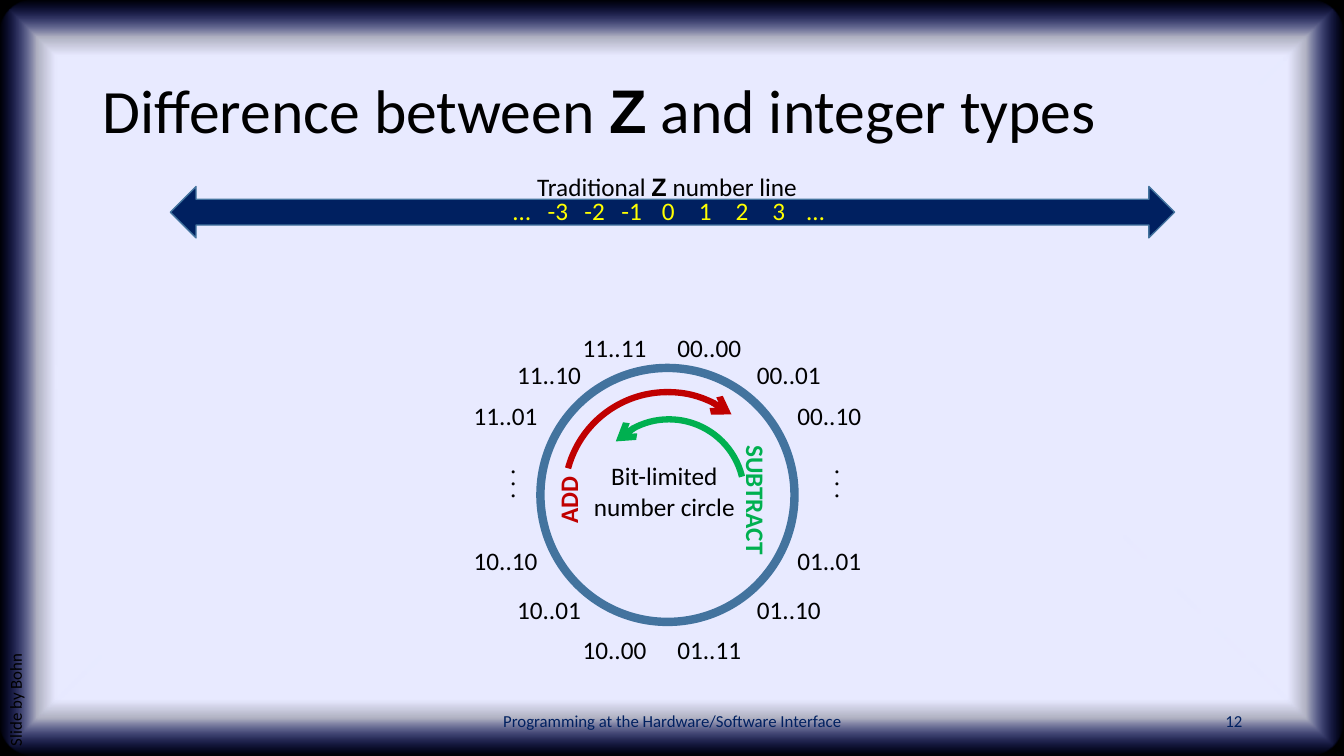
"""Build a slide contrasting the integer number line with the bit-limited number circle."""
import dataclasses

import lxml.etree
import pptx
import pptx.dml.color
import pptx.enum.shapes
import pptx.enum.text
import pptx.oxml.ns
import pptx.util

Inches = pptx.util.Inches
Pt = pptx.util.Pt
Align = pptx.enum.text.PP_ALIGN
Anchor = pptx.enum.text.MSO_ANCHOR
AutoSize = pptx.enum.text.MSO_AUTO_SIZE
Shape = pptx.enum.shapes.MSO_SHAPE


@dataclasses.dataclass(frozen=True)
class Theme:
    body_font: str = "Calibri"
    symbol_font: str = "Arial"
    title_size: int = 44
    label_size: int = 18
    footer_size: int = 12
    black: str = "000000"
    navy: str = "002060"
    steel: str = "43739E"
    yellow: str = "FFFF00"
    red: str = "C00000"
    green: str = "00B050"
    glow_stops: tuple = ((85, "E8EAFF", 100), (90, "E8EAFF", 75), (100, "162AFF", 0))


def color(value):
    return pptx.dml.color.RGBColor.from_string(value)


def add_element(parent, tag, **attributes):
    return lxml.etree.SubElement(parent, pptx.oxml.ns.qn(tag), attributes)


class SlideBuilder:
    def __init__(self, presentation, theme):
        self.theme = theme
        self.slide = presentation.slides.add_slide(presentation.slide_layouts[5])
        self.shapes = self.slide.shapes

    def start_group(self):
        self.shapes = self.slide.shapes.add_group_shape().shapes

    def end_group(self):
        self.shapes = self.slide.shapes

    def style(self, paragraph, size, value, bold=False):
        paragraph.font.name = self.theme.body_font
        paragraph.font.size = Pt(size)
        paragraph.font.bold = bold
        paragraph.font.color.rgb = color(value)

    def write_around_symbol(self, paragraph, before, symbol, after):
        for text in (before, symbol, after):
            run = paragraph.add_run()
            run.text = text
            if text == symbol:
                run.font.name = self.theme.symbol_font
                run.font.bold = True

    def backdrop(self, width, height):
        background = self.slide.background.fill
        background.solid()
        background.fore_color.rgb = color(self.theme.black)
        panel = self.shape(Shape.ROUNDED_RECTANGLE, (0, 0, width, height), adjustments=(0.048,))
        properties = panel._element.spPr
        gradient = lxml.etree.Element(pptx.oxml.ns.qn("a:gradFill"), rotWithShape="1")
        properties.replace(properties.find(pptx.oxml.ns.qn("a:noFill")), gradient)
        stops = add_element(gradient, "a:gsLst")
        for position, value, opacity in self.theme.glow_stops:
            stop = add_element(stops, "a:gs", pos=str(position * 1000))
            stop_color = add_element(stop, "a:srgbClr", val=value)
            add_element(stop_color, "a:alpha", val=str(opacity * 1000))
        shading = add_element(gradient, "a:path", path="shape")
        add_element(shading, "a:fillToRect", l="50000", t="50000", r="50000", b="50000")

    def title(self, box, before, symbol, after):
        title = self.slide.shapes.title
        title.left, title.top, title.width, title.height = map(Inches, box)
        self.slide.shapes._spTree.append(title._element)
        frame = title.text_frame
        frame.auto_size = AutoSize.NONE
        frame.vertical_anchor = Anchor.MIDDLE
        paragraph = frame.paragraphs[0]
        paragraph.alignment = Align.LEFT
        paragraph.line_spacing = 0.9
        self.style(paragraph, self.theme.title_size, self.theme.black)
        self.write_around_symbol(paragraph, before, symbol, after)

    def text(self, box, lines=(), size=None, value=None, align=Align.LEFT,
             anchor=Anchor.TOP, rotation=0, bold=False, wrap=False):
        textbox = self.shapes.add_textbox(*map(Inches, box))
        textbox.rotation = rotation
        frame = textbox.text_frame
        frame.word_wrap = wrap
        frame.vertical_anchor = anchor
        frame.text = "\n".join(lines)
        for paragraph in frame.paragraphs:
            paragraph.alignment = align
            self.style(paragraph, size or self.theme.label_size, value or self.theme.black, bold)
        return frame.paragraphs[0]

    def tabbed_text(self, box, entries, first_center, pitch, value):
        paragraph = self.text(box, ("\t".join(entries),), value=value, wrap=True)
        tabs = lxml.etree.Element(pptx.oxml.ns.qn("a:tabLst"))
        for index in range(1, len(entries)):
            position = Inches(first_center + index * pitch)
            add_element(tabs, "a:tab", pos=str(position), algn="ctr")
        paragraph._p.get_or_add_pPr().insert(0, tabs)

    def shape(self, kind, box, fill=None, line=None, weight=1, adjustments=()):
        shape = self.shapes.add_shape(kind, *map(Inches, box))
        shape.shadow.inherit = False
        for index, adjustment in enumerate(adjustments):
            shape.adjustments[index] = adjustment
        if fill:
            shape.fill.solid()
            shape.fill.fore_color.rgb = color(fill)
        else:
            shape.fill.background()
        if line:
            shape.line.color.rgb = color(line)
            shape.line.width = Pt(weight)
        else:
            shape.line.fill.background()
        return shape

    def arc_arrow(self, box, value, start, end, arrow_end):
        angles = (start * 0.6, end * 0.6)
        arc = self.shape(Shape.ARC, box, line=value, weight=4.5, adjustments=angles)
        add_element(arc.line._get_or_add_ln(), arrow_end, type="arrow")


def main():
    theme = Theme()
    presentation = pptx.Presentation()
    presentation.slide_width = Inches(13.33)
    presentation.slide_height = Inches(7.5)
    builder = SlideBuilder(presentation, theme)

    builder.backdrop(13.33, 7.5)
    builder.title((0.92, 0.4, 11.5, 1.45), "Difference between ", "Z", " and integer types")
    footer = {"size": theme.footer_size, "value": theme.navy, "anchor": Anchor.MIDDLE, "wrap": True}
    builder.text((4.42, 6.95, 4.5, 0.4), ("Programming at the Hardware/Software Interface",),
                 align=Align.CENTER, **footer)
    builder.text((9.42, 6.95, 3, 0.4), ("12",), align=Align.RIGHT, **footer)
    builder.text((-2.44, 4.66, 5.28, 0.4), ("Slide by Bohn",),
                 size=theme.footer_size, rotation=270, wrap=True)

    builder.start_group()
    builder.shape(Shape.LEFT_RIGHT_ARROW, (1.69, 1.85, 9.96, 0.51), theme.navy, theme.steel)
    caption = builder.text((5.23, 1.65, 2.88, 0.4))
    builder.write_around_symbol(caption, "Traditional ", "Z", " number line")
    builder.tabbed_text((4.99, 1.89, 3.35, 0.4),
                        ("…", "-3", "-2", "-1", "0", "1", "2", "3", "…"),
                        first_center=0.08, pitch=2.92 / 8, value=theme.yellow)
    builder.end_group()

    builder.start_group()
    builder.text((5.71, 4.52, 1.76, 0.71), ("Bit-limited", "number circle"),
                 align=Align.CENTER, wrap=True)
    builder.shape(Shape.OVAL, (5.36, 3.65, 2.52, 2.52), line=theme.steel, weight=6)
    columns = ((5.68, 6.62), (5.03, 7.41), (4.6, 7.81))
    circle_rows = (
        (3.25, columns[0], ("11..11", "00..00")),
        (3.52, columns[1], ("11..10", "00..01")),
        (3.92, columns[2], ("11..01", "00..10")),
        (5.36, columns[2], ("10..10", "01..01")),
        (5.85, columns[1], ("10..01", "01..10")),
        (6.24, columns[0], ("10..00", "01..11")),
    )
    for top, lefts, codes in circle_rows:
        for left, code in zip(lefts, codes):
            builder.text((left, top, 0.84, 0.4), (code,))
    for left in (4.75, 7.96):
        builder.text((left, 4.6, 0.51, 0.4), (". . .",), rotation=270)
    builder.end_group()

    builder.arc_arrow((5.6, 3.89, 2.04, 2.04), theme.red, 195, 308.54, "a:tailEnd")
    builder.text((5.3, 4.76, 0.67, 0.4), ("ADD",), value=theme.red, rotation=270, bold=True)
    builder.arc_arrow((5.89, 4.16, 1.49, 1.49), theme.green, 224.87, 346.35, "a:headEnd")
    builder.text((6.85, 4.77, 1.3, 0.4), ("SUBTRACT",), value=theme.green, rotation=90, bold=True)

    presentation.save("out.pptx")


if __name__ == "__main__":
    main()
